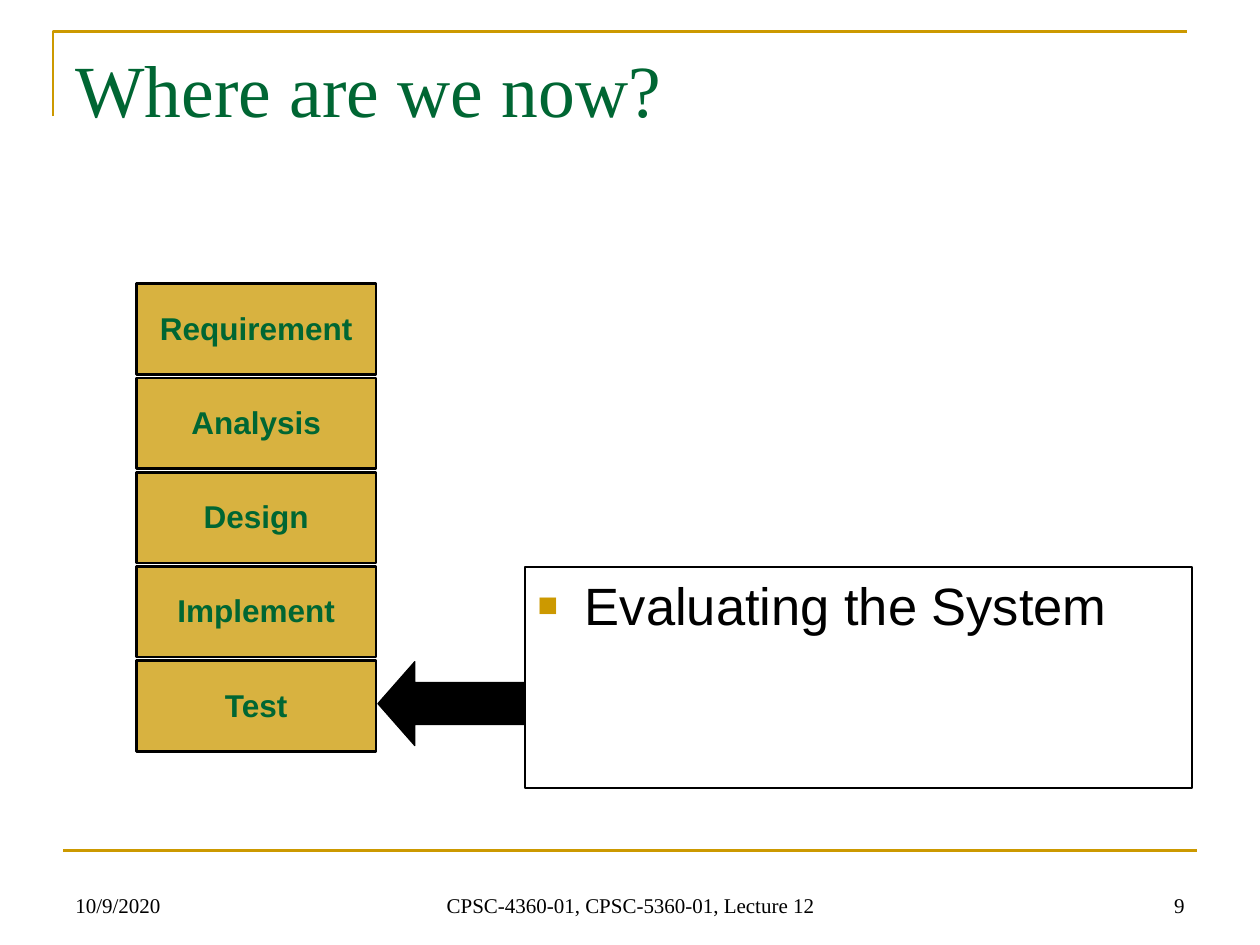
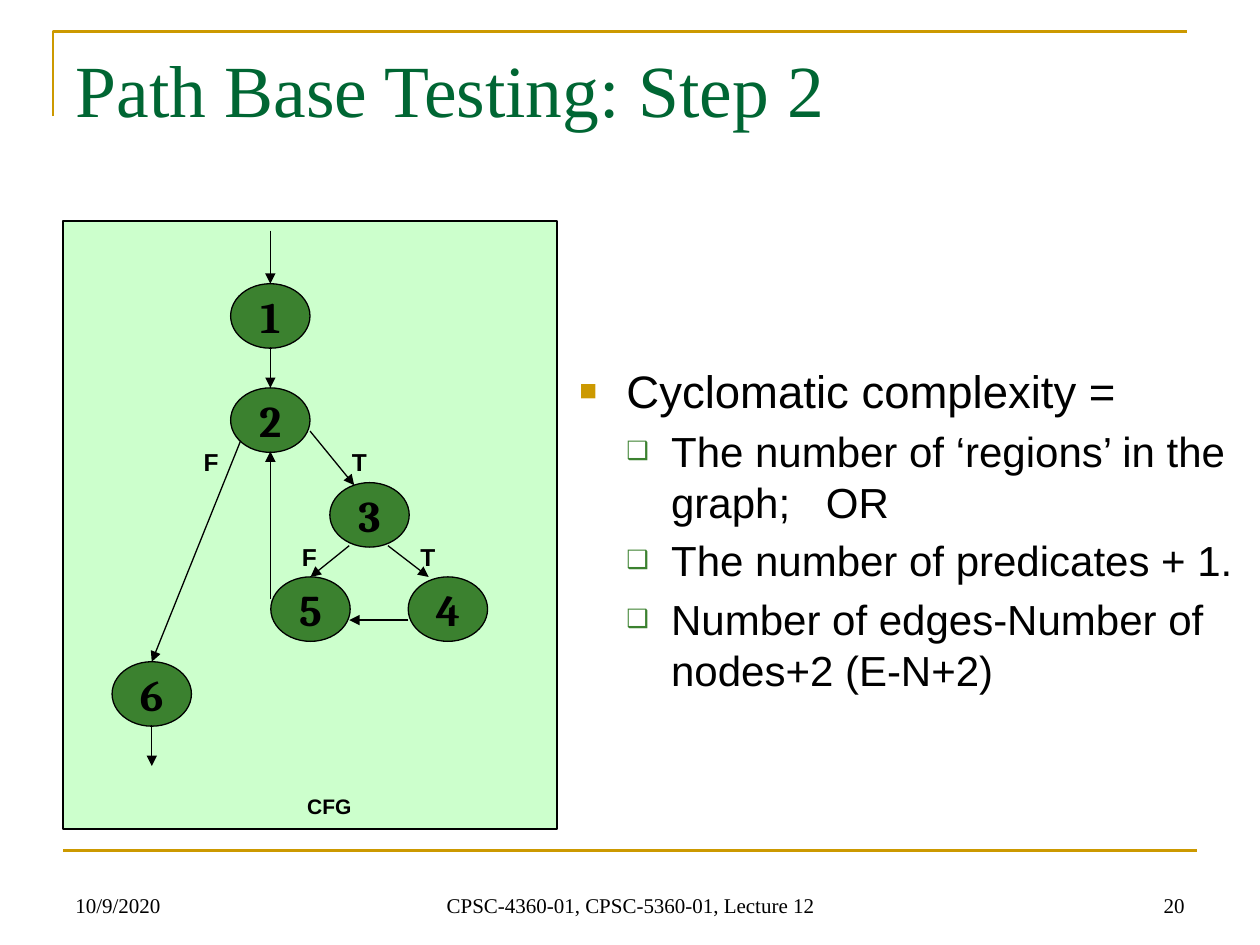
import pptx
import pptx.dml.color
import pptx.enum.shapes
import pptx.enum.text
import pptx.oxml.ns
import pptx.util
from lxml import etree

Cm, Pt = pptx.util.Cm, pptx.util.Pt
RGBColor = pptx.dml.color.RGBColor
Shape = pptx.enum.shapes.MSO_SHAPE
Align = pptx.enum.text.PP_ALIGN
Anchor = pptx.enum.text.MSO_ANCHOR
qn = pptx.oxml.ns.qn

GOLD = RGBColor(0xCC, 0x99, 0x00)
DARK_GREEN = RGBColor(0x00, 0x66, 0x33)
NODE_GREEN = RGBColor(0x3B, 0x81, 0x2F)
PALE_GREEN = RGBColor(0xCC, 0xFF, 0xCC)
BLACK = RGBColor(0x00, 0x00, 0x00)

SERIF, SANS, NODE_FONT = "Times New Roman", "Arial", "Cambria"
TITLE_ONLY = 5
DATE = "10/9/2020"
COURSE = "CPSC-4360-01, CPSC-5360-01, Lecture 12"


class Deck:
    """Holds the style and the current slide; lengths are centimetres."""

    # character, colour, size in percent, left margin, hanging indent
    bullets = [("■", GOLD, 65, 0.95, 0.95), ("❑", NODE_GREEN, 60, 1.85, 0.9)]

    def __init__(self):
        self.presentation = pptx.Presentation()
        self.presentation.slide_width = Cm(25.4)
        self.presentation.slide_height = Cm(19.05)
        self.slide = None

    def new_slide(self, title, number):
        layout = self.presentation.slide_layouts[TITLE_ONLY]
        self.slide = self.presentation.slides.add_slide(layout)
        self.frame()
        self.title(title)
        footers = [(DATE, 1.27, 5.92, Align.LEFT),
                   (COURSE, 8.69, 8.05, Align.CENTER),
                   (str(number), 18.21, 5.92, Align.RIGHT)]
        for text, left, width, align in footers:
            self.label(text, (left, 17.35, width, 1.27), 12, font=SERIF,
                       bold=False, align=align, anchor=Anchor.BOTTOM)

    def frame(self):
        """Corner line at the top and rule above the footer."""
        builder = self.slide.shapes.build_freeform(Cm(1.07), Cm(2.34))
        builder.add_line_segments([(Cm(1.07), Cm(0.64)), (Cm(23.93), Cm(0.64))],
                                  close=False)
        corner = builder.convert_to_shape()
        corner.shadow.inherit = False
        corner.fill.background()
        self.outline(corner, GOLD, 1.5)
        self.line((1.27, 17.15), (24.13, 17.15), GOLD, 1.5)

    def title(self, text):
        title = self.slide.shapes.title
        title.left, title.top = Cm(1.27), Cm(0.76)
        title.width, title.height = Cm(22.86), Cm(3.18)
        title.text_frame.auto_size = pptx.enum.text.MSO_AUTO_SIZE.NONE
        title.text_frame.vertical_anchor = Anchor.TOP
        paragraph = title.text_frame.paragraphs[0]
        paragraph.alignment = Align.LEFT
        self.run(paragraph, text, 42, SERIF, DARK_GREEN)

    def run(self, paragraph, text, size, font=SANS, color=BLACK, bold=False):
        run = paragraph.add_run()
        run.text = text
        run.font.size, run.font.name, run.font.bold = Pt(size), font, bold
        run.font.color.rgb = color

    def outline(self, shape, color, width):
        shape.line.color.rgb = color
        shape.line.width = Pt(width)

    def label(self, text, box, size, font=SANS, bold=True,
              align=Align.CENTER, anchor=Anchor.TOP):
        shape = self.slide.shapes.add_textbox(*map(Cm, box))
        shape.text_frame.word_wrap = True
        shape.text_frame.vertical_anchor = anchor
        paragraph = shape.text_frame.paragraphs[0]
        paragraph.alignment = align
        self.run(paragraph, text, size, font, bold=bold)

    def shape(self, kind, box, fill=None, line=BLACK, width=0.75, opacity=100):
        shape = self.slide.shapes.add_shape(kind, *map(Cm, box))
        shape.shadow.inherit = False
        if fill is None:
            shape.fill.background()
        else:
            shape.fill.solid()
            shape.fill.fore_color.rgb = fill
        if opacity < 100:
            color = shape._element.spPr.find(".//" + qn("a:srgbClr"))
            etree.SubElement(color, qn("a:alpha"), val=str(opacity * 1000))
        if line is None:
            shape.line.fill.background()
        else:
            self.outline(shape, line, width)
        return shape

    def phase(self, text, box):
        shape = self.shape(Shape.RECTANGLE, box, GOLD, width=1.5, opacity=75)
        frame = shape.text_frame
        frame.margin_top = frame.margin_bottom = Cm(0.5)
        frame.vertical_anchor = Anchor.TOP
        frame.paragraphs[0].alignment = Align.CENTER
        self.run(frame.paragraphs[0], text, 18, color=DARK_GREEN, bold=True)

    def node(self, text, left, top):
        shape = self.shape(Shape.OVAL, (left, top, 1.6, 1.3), NODE_GREEN)
        shape.text_frame.word_wrap = False
        shape.text_frame.vertical_anchor = Anchor.MIDDLE
        paragraph = shape.text_frame.paragraphs[0]
        paragraph.alignment = Align.CENTER
        self.run(paragraph, text, 25, NODE_FONT, bold=True)
        return shape

    def line(self, start, end, color=BLACK, width=0.75, arrow=False):
        connector = self.slide.shapes.add_connector(
            pptx.enum.shapes.MSO_CONNECTOR.STRAIGHT, *map(Cm, start + end))
        self.outline(connector, color, width)
        if arrow:
            etree.SubElement(connector.line._get_or_add_ln(), qn("a:tailEnd"),
                             type="triangle")
        etree.SubElement(connector._element.spPr, qn("a:effectLst"))
        return connector

    def bullet_list(self, box, items, line=None):
        """Items are (level, text, size, tab stop or None)."""
        shape = self.shape(Shape.RECTANGLE, box, line=line, width=1)
        frame = shape.text_frame
        frame.word_wrap = True
        frame.vertical_anchor = Anchor.TOP
        for index, (level, text, size, tab) in enumerate(items):
            paragraph = frame.add_paragraph() if index else frame.paragraphs[0]
            paragraph.alignment = Align.LEFT
            paragraph.level = level
            paragraph.space_before = Pt(0.2 * size if index else 0)
            self.bullet(paragraph, level, tab)
            self.run(paragraph, text, size)

    def bullet(self, paragraph, level, tab):
        character, color, percent, margin, hanging = self.bullets[level]
        properties = paragraph._p.get_or_add_pPr()
        properties.set("marL", str(Cm(margin)))
        properties.set("indent", str(-Cm(hanging)))
        bullet_color = etree.SubElement(properties, qn("a:buClr"))
        etree.SubElement(bullet_color, qn("a:srgbClr"), val=str(color))
        etree.SubElement(properties, qn("a:buSzPct"), val=str(percent * 1000))
        etree.SubElement(properties, qn("a:buFont"), typeface=SANS)
        etree.SubElement(properties, qn("a:buChar"), char=character)
        if tab:
            tabs = etree.SubElement(properties, qn("a:tabLst"))
            etree.SubElement(tabs, qn("a:tab"), pos=str(Cm(tab)), algn="l")


def phases_slide(deck):
    deck.new_slide("Where are we now?", 9)

    # Stack of development phases
    phases = ["Requirement", "Analysis", "Design", "Implement", "Test"]
    for index, phase in enumerate(phases):
        deck.phase(phase, (2.75, 5.72 + 1.9 * index, 4.83, 1.83))

    # Arrow to the current phase and its description
    arrow = deck.shape(Shape.LEFT_ARROW, (7.62, 13.34, 2.96, 1.69), BLACK)
    arrow.adjustments[0], arrow.adjustments[1] = 0.5, 0.44
    deck.bullet_list((10.59, 11.43, 13.44, 4.45),
                     [(0, "Evaluating the System", 30, None)], BLACK)


def flow_graph_slide(deck):
    deck.new_slide("Path Base Testing: Step 2", 20)

    # Panel of the control flow graph
    deck.shape(Shape.RECTANGLE, (1.27, 4.45, 9.96, 12.27), PALE_GREEN, width=1)
    deck.label("CFG", (5.84, 15.88, 1.6, 0.76), 12)

    # Nodes
    places = {"1": (4.65, 5.72), "2": (4.65, 7.82), "3": (6.65, 9.73),
              "4": (8.23, 11.63), "5": (5.46, 11.63), "6": (2.26, 13.34)}
    nodes = {name: deck.node(name, *place) for name, place in places.items()}

    # Edges: start, end, node whose top the edge joins
    edges = [((5.45, 4.65), (5.45, 5.72), "1"),
             ((5.45, 7.0), (5.45, 7.82), "2"),
             ((6.25, 8.69), (7.14, 9.78), None),
             ((7.04, 11.0), (6.26, 11.63), "5"),
             ((7.82, 11.0), (8.64, 11.63), None),
             ((8.23, 12.5), (7.04, 12.5), None),
             ((5.45, 12.07), (5.45, 9.1), None),
             ((4.85, 8.89), (3.06, 13.34), "6"),
             ((3.06, 14.61), (3.06, 15.44), None)]
    for start, end, target in edges:
        connector = deck.line(start, end, arrow=True)
        if target:
            connector.end_connect(nodes[target], 0)

    # Outcomes of the two predicates
    for outcome, left, top in [("F", 3.66, 8.89), ("T", 6.65, 8.89),
                               ("F", 5.64, 10.8), ("T", 8.03, 10.8)]:
        deck.label(outcome, (left, top, 1.19, 0.84), 14)

    # Ways to compute the complexity
    deck.bullet_list((11.43, 7.19, 13.97, 6.99), [
        (0, "Cyclomatic complexity =", 26, None),
        (1, "The number of ‘regions’ in the graph;\tOR", 24, 4.97),
        (1, "The number of predicates + 1.", 24, None),
        (1, "Number of edges-Number of nodes+2 (E-N+2)", 24, None)])


def main():
    deck = Deck()
    phases_slide(deck)
    flow_graph_slide(deck)
    deck.presentation.save("out.pptx")


if __name__ == "__main__":
    main()
